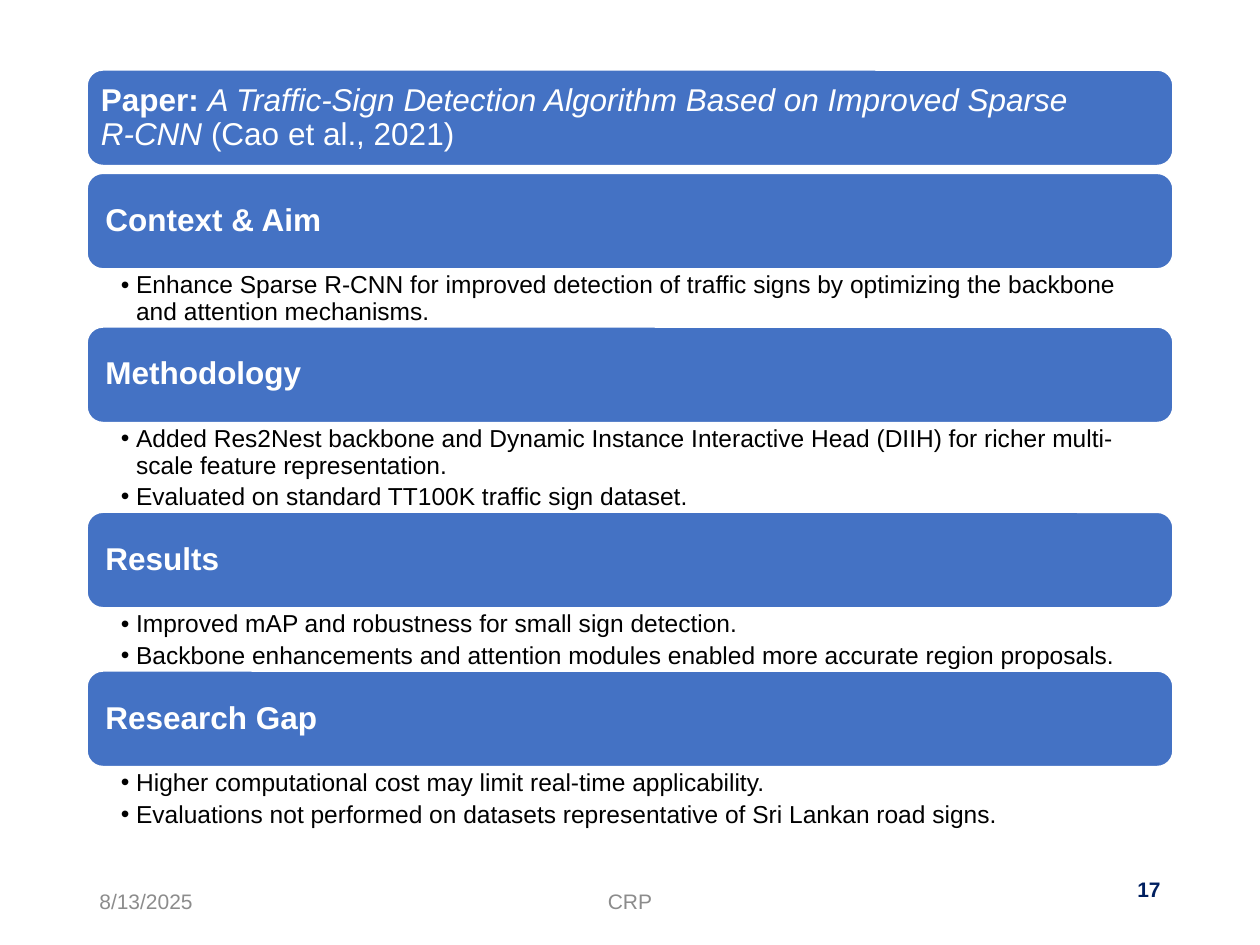
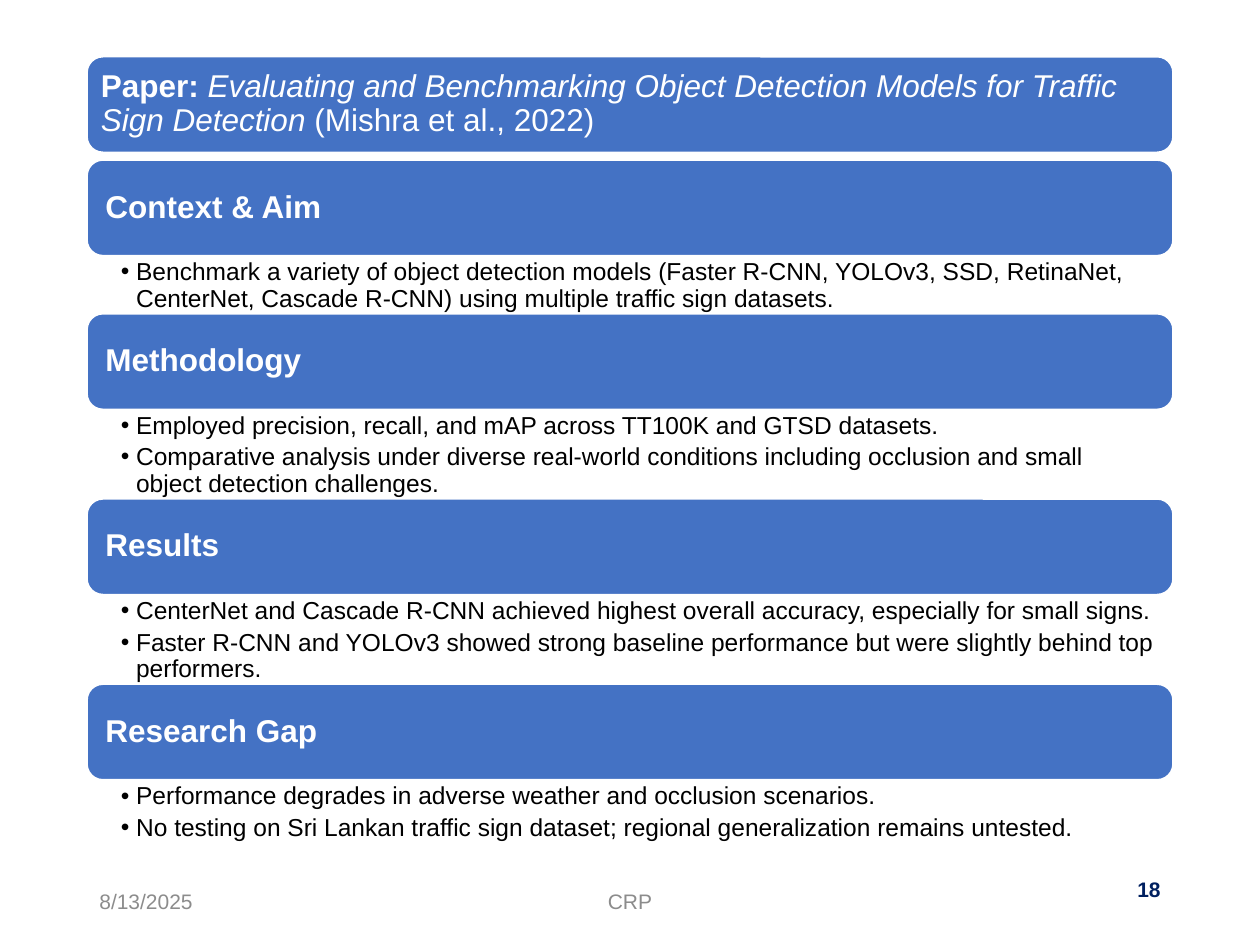
from lxml.etree import SubElement
from pptx import Presentation
from pptx.dml.color import RGBColor
from pptx.enum.shapes import MSO_SHAPE as Preset
from pptx.enum.text import MSO_ANCHOR as Anchor, MSO_AUTO_SIZE as AutoSize, PP_ALIGN as Align
from pptx.oxml.ns import qn
from pptx.util import Inches, Pt

# Shared look
COLORS = {"band": "4472C4", "white": "FFFFFF", "body": "000000",
          "footer": "8C8C8C", "number": "002060"}
FONT = "Arial"

# Shared grid, in inches
SLIDE_W, SLIDE_H = 10, 7.5
MARGIN = 0.69
CONTENT_W = SLIDE_W - 2 * MARGIN
BAND_H, TITLE_GAP = 0.76, 0.06
LINE_H, ITEM_GAP = 0.21, 0.04
STACK_CENTER = 3.57
BAND_INSETS = (0.11, 0.07, 0.11, 0.07)
LIST_INSETS = (0.27, 0.03, 0.14, 0.03)
FOOTER_INSETS = (0.1, 0.05, 0.1, 0.05)
FOOTER_W, FOOTER_TOP, FOOTER_H = 2.25, 6.95, 0.4
CENTER_W = 3.38
NUMBER_TOP, NUMBER_H = 6.76, 0.6

# Each section: heading, list items, number of lines the list takes
PAPERS = [
    {"number": "17",
     "title": "A Traffic‑Sign Detection Algorithm Based on Improved Sparse R‑CNN",
     "citation": " (Cao et al., 2021)",
     "sections": [
         ("Context & Aim", [
             "Enhance Sparse R‑CNN for improved detection of traffic signs by optimizing "
             "the backbone and attention mechanisms."], 2),
         ("Methodology", [
             "Added Res2Nest backbone and Dynamic Instance Interactive Head (DIIH) for "
             "richer multi-scale feature representation.",
             "Evaluated on standard TT100K traffic sign dataset."], 3),
         ("Results", [
             "Improved mAP and robustness for small sign detection.",
             "Backbone enhancements and attention modules enabled more accurate region "
             "proposals."], 2),
         ("Research Gap", [
             "Higher computational cost may limit real-time applicability.",
             "Evaluations not performed on datasets representative of Sri Lankan road "
             "signs."], 2)]},
    {"number": "18",
     "title": "Evaluating and Benchmarking Object Detection Models for Traffic Sign Detection",
     "citation": " (Mishra et al., 2022)",
     "sections": [
         ("Context & Aim", [
             "Benchmark a variety of object detection models (Faster R‑CNN, YOLOv3, SSD, "
             "RetinaNet, CenterNet, Cascade R‑CNN) using multiple traffic sign datasets."], 2),
         ("Methodology", [
             "Employed precision, recall, and mAP across TT100K and GTSD datasets.",
             "Comparative analysis under diverse real-world conditions including occlusion "
             "and small object detection challenges."], 3),
         ("Results", [
             "CenterNet and Cascade R‑CNN achieved highest overall accuracy, especially for "
             "small signs.",
             "Faster R‑CNN and YOLOv3 showed strong baseline performance but were slightly "
             "behind top performers."], 3),
         ("Research Gap", [
             "Performance degrades in adverse weather and occlusion scenarios.",
             "No testing on Sri Lankan traffic sign dataset; regional generalization "
             "remains untested."], 2)]},
]


def write(shape, paragraphs, size=18, color="white", bold=False, align=Align.LEFT,
          anchor=Anchor.MIDDLE, insets=BAND_INSETS, spacing=0.9, after=0, bullet=None):
    """Fill a shape; a paragraph is a string or a list of (text, bold, italic) runs."""
    frame = shape.text_frame
    frame.word_wrap, frame.auto_size = True, AutoSize.NONE
    frame.vertical_anchor = anchor
    (frame.margin_left, frame.margin_top,
     frame.margin_right, frame.margin_bottom) = map(Inches, insets)
    for i, runs in enumerate(paragraphs):
        paragraph = frame.add_paragraph() if i else frame.paragraphs[0]
        if bullet:
            props = paragraph._p.get_or_add_pPr()
            props.set("marL", str(Inches(0.12)))
            props.set("indent", str(-Inches(0.12)))
            SubElement(props, qn("a:buChar"), char=bullet)
        paragraph.alignment, paragraph.line_spacing = align, spacing
        paragraph.space_before, paragraph.space_after = Pt(0), Pt(after)
        for text, is_bold, is_italic in [(runs, bold, False)] if isinstance(runs, str) else runs:
            run = paragraph.add_run()
            run.text = text
            run.font.name, run.font.size = FONT, Pt(size)
            run.font.bold, run.font.italic = is_bold, is_italic
            run.font.color.rgb = RGBColor.from_string(COLORS[color])


def add_band(slide, top):
    band = slide.shapes.add_shape(Preset.ROUNDED_RECTANGLE, Inches(MARGIN), Inches(top),
                                  Inches(CONTENT_W), Inches(BAND_H))
    band.shadow.inherit = False
    band.fill.solid()
    band.fill.fore_color.rgb = RGBColor.from_string(COLORS["band"])
    band.line.color.rgb = RGBColor.from_string(COLORS["white"])
    band.line.width = Pt(1)
    return band


deck = Presentation()
deck.slide_width, deck.slide_height = Inches(SLIDE_W), Inches(SLIDE_H)
comparison_layout = deck.slide_layouts[4]  # one title and four body placeholders

for paper in PAPERS:
    slide = deck.slides.add_slide(comparison_layout)
    title, *lists = slide.placeholders

    # Footer: date, course and slide number
    for text, left, top, width, height, style in [
        ("8/13/2025", MARGIN, FOOTER_TOP, FOOTER_W, FOOTER_H, {"color": "footer"}),
        ("CRP", (SLIDE_W - CENTER_W) / 2, FOOTER_TOP, CENTER_W, FOOTER_H,
         {"color": "footer", "align": Align.CENTER}),
        (paper["number"], SLIDE_W - MARGIN - FOOTER_W, NUMBER_TOP, FOOTER_W, NUMBER_H,
         {"color": "number", "align": Align.RIGHT, "bold": True}),
    ]:
        footer = slide.shapes.add_textbox(*map(Inches, (left, top, width, height)))
        write(footer, [text], size=12, insets=FOOTER_INSETS, spacing=1.0, **style)

    # The stack of bands and lists is centred on one height
    list_heights = [LINE_H * lines + ITEM_GAP * len(items)
                    for _, items, lines in paper["sections"]]
    stack_h = BAND_H * (1 + len(list_heights)) + TITLE_GAP + sum(list_heights)
    top = STACK_CENTER - stack_h / 2

    # Paper title, lifted in front of its band
    title_band = add_band(slide, top)
    title.left, title.top = title_band.left, title_band.top
    title.width, title.height = title_band.width, title_band.height
    title_band._element.addnext(title._element)
    write(title, [[("Paper: ", True, False), (paper["title"], False, True),
                   (paper["citation"], False, False)]])
    top += BAND_H + TITLE_GAP

    # Sections: heading band, then its list
    for (heading, items, _), findings, height in zip(paper["sections"], lists, list_heights):
        write(add_band(slide, top), [heading], bold=True)
        top += BAND_H
        findings.left, findings.top = Inches(MARGIN), Inches(top)
        findings.width, findings.height = Inches(CONTENT_W), Inches(height)
        write(findings, items, size=14, color="body", anchor=Anchor.TOP,
              insets=LIST_INSETS, after=2.8, bullet="•")
        top += height

deck.save("out.pptx")
